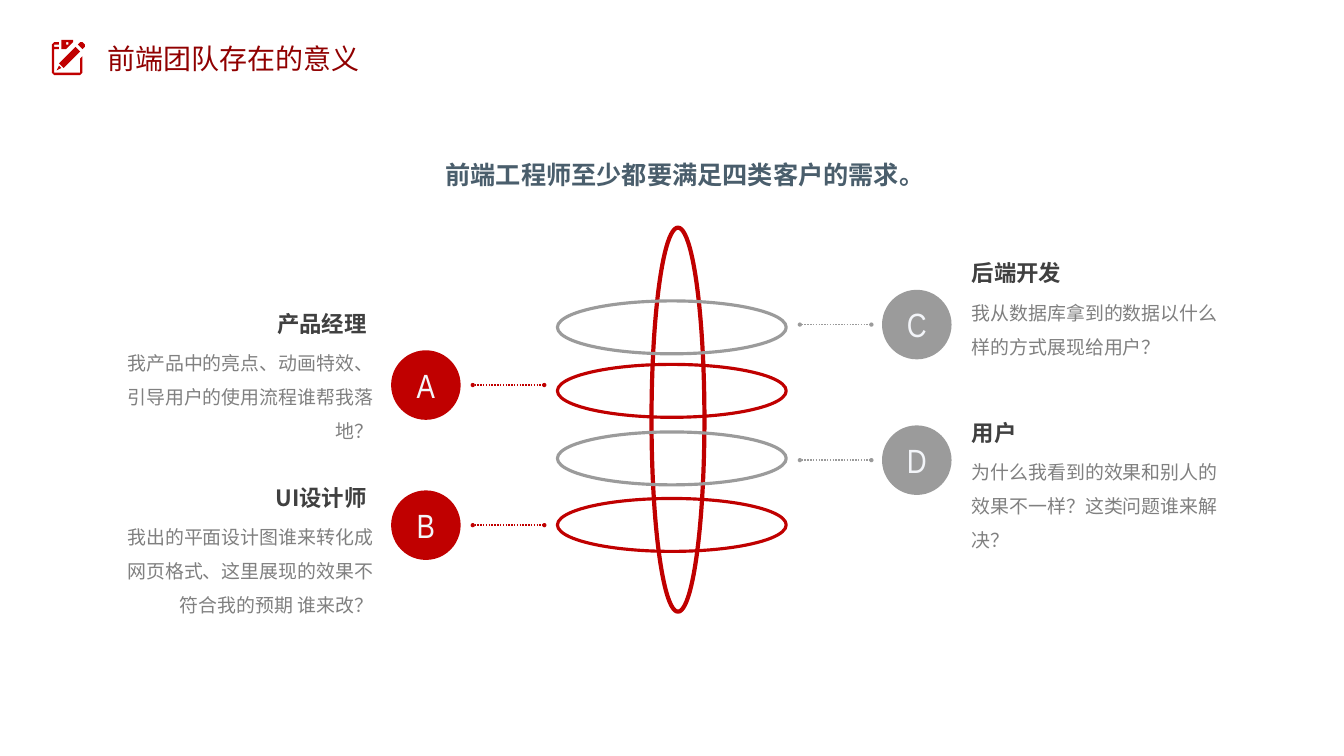
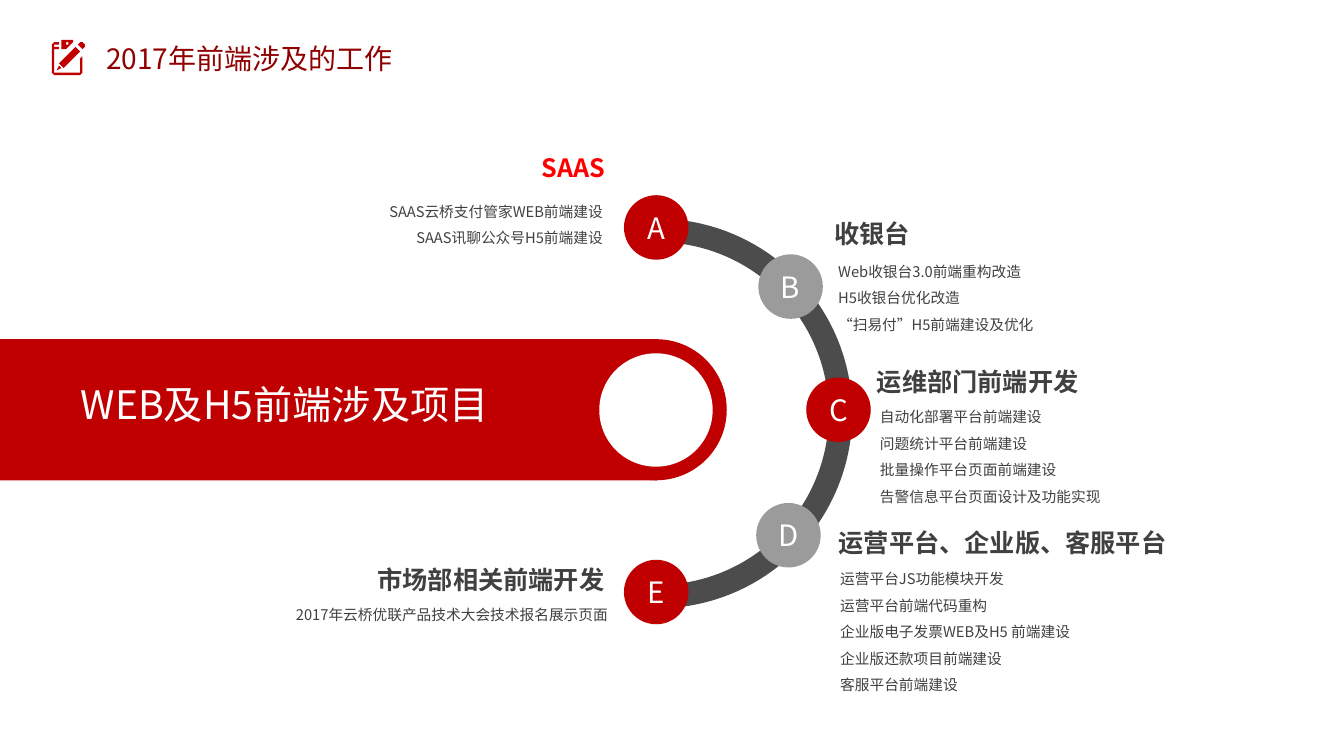
from math import cos, radians, sin
from typing import NamedTuple

from lxml import etree
from pptx import Presentation
from pptx.dml.color import RGBColor
from pptx.enum import dml, shapes, text
from pptx.oxml import ns
from pptx.util import Inches, Pt

COLUMNS, ROWS = 80, 45
CELL = Inches(1 / 3)
SANS, NARROW = "Noto Sans CJK SC", "Arial Narrow"
RED, GREY, WHITE = "C00000", "9B9B9B", "FFFFFF"
TITLE_RED, BRIGHT_RED, SLATE = "900000", "FF0000", "4A5E6C"
INK, DEEP_INK, BODY_GREY, ARC_GREY = "404040", "262626", "808080", "4C4C4C"
LETTER_WHITE = "F3F5F9"
LEFT, CENTER, RIGHT = text.PP_ALIGN.LEFT, text.PP_ALIGN.CENTER, text.PP_ALIGN.RIGHT
SHAPE = shapes.MSO_SHAPE
MIDDLE = dict(vertical_anchor=text.MSO_ANCHOR.MIDDLE)
FIT = dict(auto_size=text.MSO_AUTO_SIZE.SHAPE_TO_FIT_TEXT)

ICON_SCALE = 0.14
NOTEPAD_OUTLINES = [
    [(12, 15), (1, 15), (0, 14), (0, 2), (1, 1), (3, 1), (3, 2), (1, 2), (1, 3),
     (3, 3), (3, 4), (1, 4), (1, 14), (12, 14), (12, 8), (13, 7), (13, 14)],
    [(7, 3), (6, 4), (4, 4), (4, 0), (9, 0), (9, 1), (8, 2)],
    [(7, 1.5), (7, 1), (6, 1), (6, 2), (7, 2)],
    [(13, 4), (11, 2), (12, 1), (13, 1), (14, 2), (14, 3)],
    [(5, 12), (3, 10), (10, 3), (12, 5)],
    [(4, 12), (2, 13), (3, 11)],
]


class Side(NamedTuple):
    """The colour, alignment and columns shared by the customers of one side."""
    color: str
    align: int
    badge_center: float
    link_left: float
    heading_left: float
    need_left: float


class Customer(NamedTuple):
    """One customer, with the rows of the badge centre and the heading."""
    side: Side
    letter: str
    badge_middle: float
    heading_top: float
    need_height: float
    heading: str
    need: str


class Topic(NamedTuple):
    """One topic, with the angle of its badge on the arc and its two text areas."""
    letter: str
    angle: float
    badge_color: str
    align: int
    heading_color: str
    heading: str
    heading_at: tuple
    tasks_at: tuple
    tasks: list


WEST = Side(RED, RIGHT, 25.35, 28.14, 8.9, 7.32)
EAST = Side(GREY, LEFT, 54.57, 47.61, 57.75, 57.75)
CUSTOMERS = [
    Customer(WEST, "A", 22.92, 18.36, 6.3, "产品经理",
             "我产品中的亮点、动画特效、引导用户的使用流程谁帮我落地？"),
    Customer(WEST, "B", 31.26, 28.74, 6.3, "UI设计师",
             "我出的平面设计图谁来转化成网页格式、这里展现的效果不符合我的预期 谁来改？"),
    Customer(EAST, "C", 19.32, 15.36, 4.26, "后端开发",
             "我从数据库拿到的数据以什么样的方式展现给用户？"),
    Customer(EAST, "D", 27.39, 24.84, 6.3, "用户",
             "为什么我看到的效果和别人的效果不一样？这类问题谁来解决？"),
]
FLAT_RINGS = [(29.67, RED), (25.71, GREY), (21.69, RED), (17.91, GREY)]

ARC_CENTER = (39.06, 24.39)
BADGE_ORBIT = 10.85
TOPICS = [
    Topic("A", -90, RED, RIGHT, BRIGHT_RED, "SAAS",
          (19.41, 9.09, 16.62, 1.83), (17.7, 11.52, 18.18, 3.66),
          ["SAAS云桥支付管家WEB前端建设", "SAAS讯聊公众号H5前端建设"]),
    Topic("B", -42.5, GREY, LEFT, INK, "收银台",
          (49.65, 12.99, 16.62, 1.83), (49.89, 15.12, 18.66, 5.07),
          ["Web收银台3.0前端重构改造", "H5收银台优化改造", "“扫易付”H5前端建设及优化"]),
    Topic("C", 0, RED, LEFT, INK, "运维部门前端开发",
          (52.2, 21.81, 16.62, 1.83), (52.38, 23.76, 18.03, 6.3),
          ["自动化部署平台前端建设", "问题统计平台前端建设",
           "批量操作平台页面前端建设", "告警信息平台页面设计及功能实现"]),
    Topic("D", 43.5, GREY, LEFT, INK, "运营平台、企业版、客服平台",
          (49.92, 31.41, 21.48, 1.83), (50.01, 33.42, 17.97, 8.19),
          ["运营平台JS功能模块开发", "运营平台前端代码重构", "企业版电子发票WEB及H5 前端建设",
           "企业版还款项目前端建设", "客服平台前端建设"]),
    Topic("E", 90, RED, RIGHT, INK, "市场部相关前端开发",
          (19.35, 33.57, 16.62, 1.83), (14.49, 35.52, 21.69, 3.66),
          ["2017年云桥优联产品技术大会技术报名展示页面"]),
]


def rgb(color):
    """Turn a hex string into a colour."""
    return RGBColor.from_string(color)


def cells(*counts):
    """Turn grid counts into lengths."""
    return [round(count * CELL) for count in counts]


def set_values(target, values):
    """Set every value of a dict on the target."""
    for name, value in values.items():
        setattr(target, name, value)


def paint(fill, color):
    """Fill with one hex string, a downward gradient of two, or nothing."""
    if color is None:
        fill.background()
    elif isinstance(color, str):
        fill.solid()
        fill.fore_color.rgb = rgb(color)
    else:
        fill.gradient()
        fill.gradient_angle = 270
        for stop, shade in zip(fill.gradient_stops, color):
            stop.color.rgb = rgb(shade)


def write(box, lines, size, color, font=SANS, bold=False, inset=0, frame=None, **layout):
    """Fill a box with paragraphs of one style."""
    margins = {f"margin_{edge}": cells(inset)[0] for edge in ("left", "top", "right", "bottom")}
    set_values(box.text_frame, {"word_wrap": True, **margins, **(frame or {})})
    for index, line in enumerate(lines):
        para = box.text_frame.add_paragraph() if index else box.text_frame.paragraphs[0]
        set_values(para, layout)
        span = para.add_run()
        span.text = line
        set_values(span.font, dict(size=Pt(size), bold=bold, name=font))
        paint(span.font.fill, color)
    for latin in list(box.element.iter(ns.qn("a:latin"))):
        latin.addnext(latin.makeelement(ns.qn("a:ea"), {"typeface": font}))


def add_text(page, at, lines, size, color, **style):
    """Place a text box on the grid."""
    write(page.shapes.add_textbox(*cells(*at)), lines, size, color, **style)


def add_figure(page, kind, at, fill=None, line=None, width=0):
    """Place a preset shape that is filled or outlined."""
    figure = page.shapes.add_shape(kind, *cells(*at))
    figure.shadow.inherit = False
    paint(figure.fill, fill)
    paint(figure.line.fill, line)
    figure.line.width = Pt(width)
    return figure


def add_badge(page, center, diameter, fill, letter, size, color, font=SANS):
    """Place a round badge with a letter around a centre."""
    left, top = (middle - diameter / 2 for middle in center)
    badge = add_figure(page, SHAPE.OVAL, (left, top, diameter, diameter), fill)
    write(badge, [letter], size, color, font=font, frame=MIDDLE, alignment=CENTER)


def add_link(page, left, middle, length, color):
    """Draw a dotted level line with a dot at both ends."""
    link = page.shapes.add_connector(
        shapes.MSO_CONNECTOR.STRAIGHT, *cells(left, middle, left + length, middle))
    paint(link.line.fill, color)
    set_values(link.line, dict(width=Pt(2), dash_style=dml.MSO_LINE.ROUND_DOT))
    outline = link.element.spPr.find(ns.qn("a:ln"))
    for end in ("a:headEnd", "a:tailEnd"):
        etree.SubElement(outline, ns.qn(end), type="oval")
    etree.SubElement(link.element.spPr, ns.qn("a:effectLst"))


def add_icon(page):
    """Draw the notepad beside the title."""
    builder = page.shapes.build_freeform(*NOTEPAD_OUTLINES[0][0], scale=CELL * ICON_SCALE)
    for start, *points in NOTEPAD_OUTLINES:
        builder.move_to(*start)
        builder.add_line_segments(points, close=True)
    icon = builder.convert_to_shape(*cells(3.09, 2.37))
    icon.shadow.inherit = False
    paint(icon.fill, RED)
    paint(icon.line.fill, None)


def add_page(deck, title, left, width):
    """Add a blank slide with the icon and the title."""
    page = deck.slides.add_slide(deck.slide_layouts[6])
    add_icon(page)
    add_text(page, (left, 2.16, width, 2.64), [title], 40, TITLE_RED,
             inset=0.3, frame={**FIT, "word_wrap": False, "margin_left": cells(0.6)[0]})
    return page


def add_customer(page, customer):
    """Place a customer's link, need, heading and badge."""
    side, middle, top = customer.side, customer.badge_middle, customer.heading_top
    add_link(page, side.link_left, middle, 4.26, side.color)
    add_text(page, (side.need_left, top + 1.8, 14.97, customer.need_height), [customer.need],
             27, BODY_GREY, inset=0.09, frame=FIT, alignment=side.align, line_spacing=1.5)
    add_text(page, (side.heading_left, top, 13.02, 1.77), [customer.heading], 32, (INK, DEEP_INK),
             bold=True, inset=0.09, frame={**FIT, **MIDDLE}, alignment=side.align)
    add_badge(page, (side.badge_center, middle), 4.14, side.color, customer.letter,
              48, LETTER_WHITE, NARROW)


def add_rings(page):
    """Draw the tall ring and the flat rings around it."""
    add_figure(page, SHAPE.OVAL, (38.78, 13.55, 3.15, 22.86), line=RED, width=6)
    for top, color in FLAT_RINGS:
        add_figure(page, SHAPE.OVAL, (33.18, top, 13.62, 3.15), line=color, width=4.5)


def add_arc(page):
    """Draw the half ring that carries the topic badges."""
    arc = add_figure(page, SHAPE.BLOCK_ARC, (27.54, 13.02, 23.19, 23.19), ARC_GREY)
    for index, value in enumerate((162, 54.16, 0.06)):
        arc.adjustments[index] = value


def add_topic(page, topic):
    """Place a topic's badge on the arc, its heading and its tasks."""
    angle = radians(topic.angle)
    center = (ARC_CENTER[0] + BADGE_ORBIT * cos(angle), ARC_CENTER[1] + BADGE_ORBIT * sin(angle))
    add_badge(page, center, 3.84, topic.badge_color, topic.letter, 42, WHITE)
    add_text(page, topic.tasks_at, topic.tasks, 21, INK, alignment=topic.align, line_spacing=1.5)
    add_text(page, topic.heading_at, [topic.heading], 36, topic.heading_color,
             bold=True, alignment=topic.align)


def add_banner(page, label):
    """Draw the red banner with its round end and label."""
    add_figure(page, SHAPE.RECTANGLE, (0, 20.19, 39.12, 8.4), RED)
    add_figure(page, SHAPE.OVAL, (34.86, 20.19, 8.4, 8.4), RED)
    add_figure(page, SHAPE.OVAL, (35.67, 21.03, 6.75, 6.75), WHITE)
    add_text(page, (4.8, 22.65, 26.91, 5.34), [label], 56, WHITE, space_before=Pt(7.5))


def add_purpose_page(deck):
    """Build the slide on the four customers of the team."""
    page = add_page(deck, "前端团队存在的意义", 5.82, 16.35)
    for customer in CUSTOMERS:
        add_customer(page, customer)
    add_rings(page)
    add_text(page, (20.25, 8.43, 41.04, 3.06), ["前端工程师至少都要满足四类客户的需求。"], 36, SLATE,
             bold=True, inset=0.18, frame=FIT, alignment=CENTER, line_spacing=1.5)


def add_work_page(deck):
    """Build the slide on the topics of the year."""
    page = add_page(deck, "2017年前端涉及的工作", 5.73, 18.63)
    add_arc(page)
    for topic in TOPICS:
        add_topic(page, topic)
    add_banner(page, "WEB及H5前端涉及项目")


def main():
    """Build both slides and save them."""
    deck = Presentation()
    deck.slide_width, deck.slide_height = cells(COLUMNS, ROWS)
    add_purpose_page(deck)
    add_work_page(deck)
    deck.save("out.pptx")


if __name__ == "__main__":
    main()
